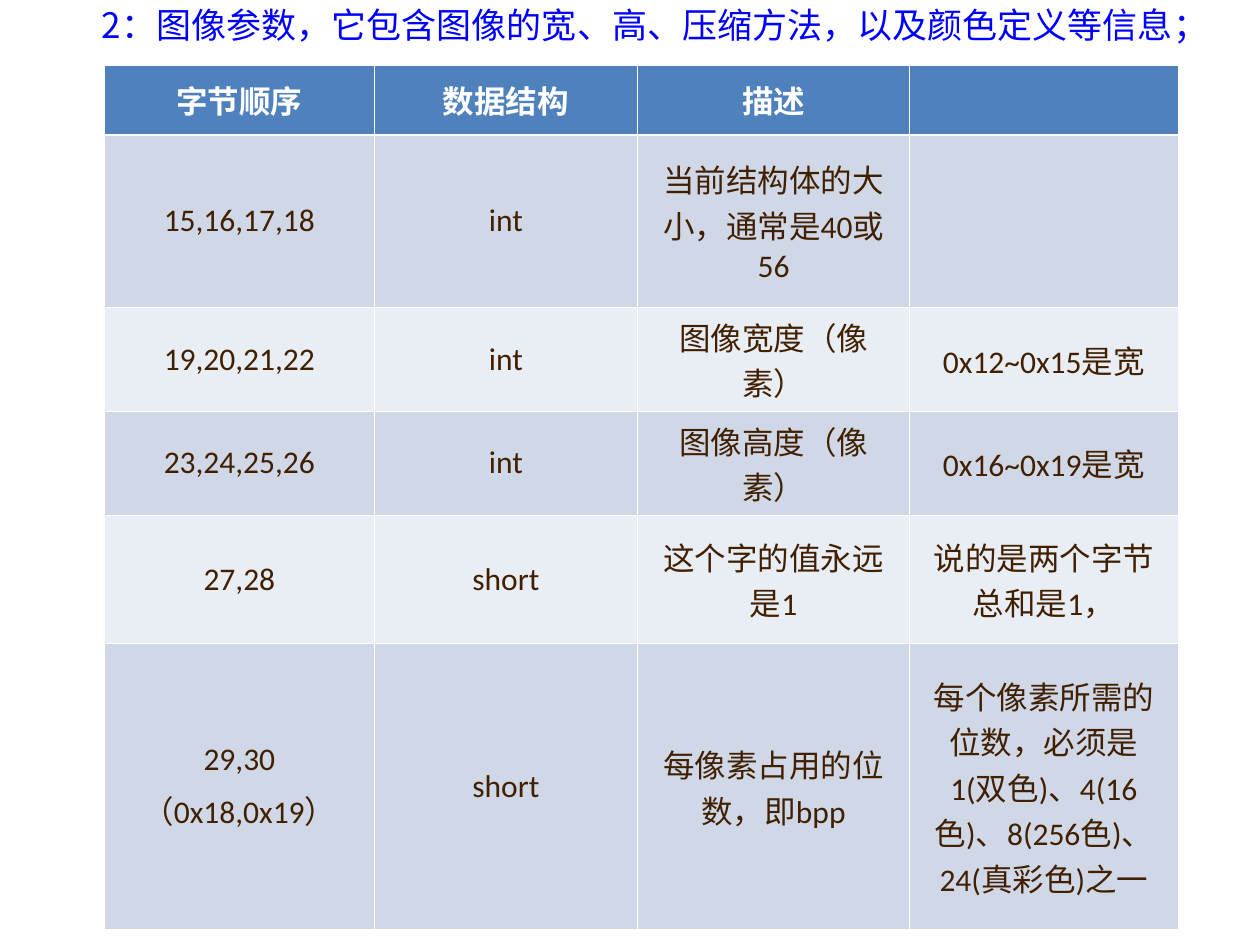
import copy

import pptx
import pptx.dml.color
import pptx.enum.text
import pptx.oxml.ns
import pptx.util
from lxml import etree

RGBColor = pptx.dml.color.RGBColor
Inches, Pt = pptx.util.Inches, pptx.util.Pt
MIDDLE = pptx.enum.text.MSO_ANCHOR.MIDDLE
qn = pptx.oxml.ns.qn

BLUE = RGBColor(0x00, 0x00, 0xFF)
BROWN = RGBColor(0x40, 0x20, 0x00)
WHITE = RGBColor(0xFF, 0xFF, 0xFF)
HEADER = RGBColor(0x4F, 0x81, 0xBD)
BANDS = (RGBColor(0xD0, 0xD8, 0xE8), RGBColor(0xE9, 0xED, 0xF4))
LATIN, CJK = "Calibri", "Noto Sans CJK SC"

TITLE = "2：图像参数，它包含图像的宽、高、压缩方法，以及颜色定义等信息；"
COL_WIDTHS = (2.14, 2.09, 2.16, 2.13)
ROW_HEIGHTS = (0.55, 1.37, 0.7, 0.7, 1.02, 2.2)
ROWS = (
    ("字节顺序", "数据结构", "描述", ""),
    ("15,16,17,18", "int", "当前结构体的大小，通常是40或56", ""),
    ("19,20,21,22", "int", "图像宽度（像素）", "0x12~0x15是宽"),
    ("23,24,25,26", "int", "图像高度（像素）", "0x16~0x19是宽"),
    ("27,28", "short", "这个字的值永远是1", "说的是两个字节总和是1，"),
    ("29,30\n（0x18,0x19）", "short", "每像素占用的位数，即bpp",
     "每个像素所需的位数，必须是1(双色)、4(16色)、8(256色)、24(真彩色)之一"),
)


def write_text(tf, text, size=18, font=LATIN, color=BROWN, bold=False, before=0):
    """Write centred text, one paragraph per line."""
    tf.text = text
    for p in tf.paragraphs:
        p.alignment = pptx.enum.text.PP_ALIGN.CENTER
        p.space_before = Pt(before)
        for r in p.runs:
            r.font.size = Pt(size)
            r.font.name = font
            r.font.bold = bold
            r.font.color.rgb = color
            ea = etree.SubElement(r.font._element, qn("a:ea"))
            ea.set("typeface", CJK)


def set_borders(cell, widths):
    """Draw white borders; widths holds points for left, right, top, bottom."""
    tc_pr = cell._tc.get_or_add_tcPr()
    for i, (side, width) in enumerate(zip("LRTB", widths)):
        ln = etree.Element(qn(f"a:ln{side}"), w=str(Pt(width)))
        fill = etree.SubElement(ln, qn("a:solidFill"))
        etree.SubElement(fill, qn("a:srgbClr"), val=str(WHITE))
        tc_pr.insert(i, ln)


def add_title(s):
    sp = s.shapes.title
    sp.left, sp.top = Inches(0.59), Inches(0.13)
    sp.width, sp.height = Inches(9.22), Inches(0.47)
    tf = sp.text_frame
    tf.word_wrap = True
    tf.auto_size = pptx.enum.text.MSO_AUTO_SIZE.NONE
    tf.vertical_anchor = MIDDLE
    write_text(tf, TITLE, size=20, font=CJK, color=BLUE)
    # The closing line break keeps the size of the title text
    p = tf.paragraphs[0]
    p.add_line_break()
    p._p.find(qn("a:br")).append(copy.deepcopy(p.runs[0].font._element))


def add_parameter_table(s):
    frame = s.shapes.add_table(len(ROWS), len(COL_WIDTHS), Inches(0.83), Inches(0.52),
                               Inches(sum(COL_WIDTHS)), Inches(sum(ROW_HEIGHTS)))
    table = frame.table
    for column, width in zip(table.columns, COL_WIDTHS):
        column.width = Inches(width)
    for i, (row, height, texts) in enumerate(zip(table.rows, ROW_HEIGHTS, ROWS)):
        row.height = Inches(height)
        is_header = i == 0
        top, bottom = (1.47 if i == 1 else 0.45), (1.47 if is_header else 0.45)
        for cell, text in zip(row.cells, texts):
            cell.vertical_anchor = MIDDLE
            cell.fill.solid()
            cell.fill.fore_color.rgb = HEADER if is_header else BANDS[(i - 1) % 2]
            set_borders(cell, (0.45, 0.45, top, bottom))
            write_text(cell.text_frame, text, color=WHITE if is_header else BROWN,
                       bold=is_header, before=4.5)


def main():
    prs = pptx.Presentation()
    prs.slide_width, prs.slide_height = Inches(10), Inches(7.5)
    s = prs.slides.add_slide(prs.slide_layouts[5])
    add_title(s)
    add_parameter_table(s)
    prs.save("out.pptx")


if __name__ == "__main__":
    main()
